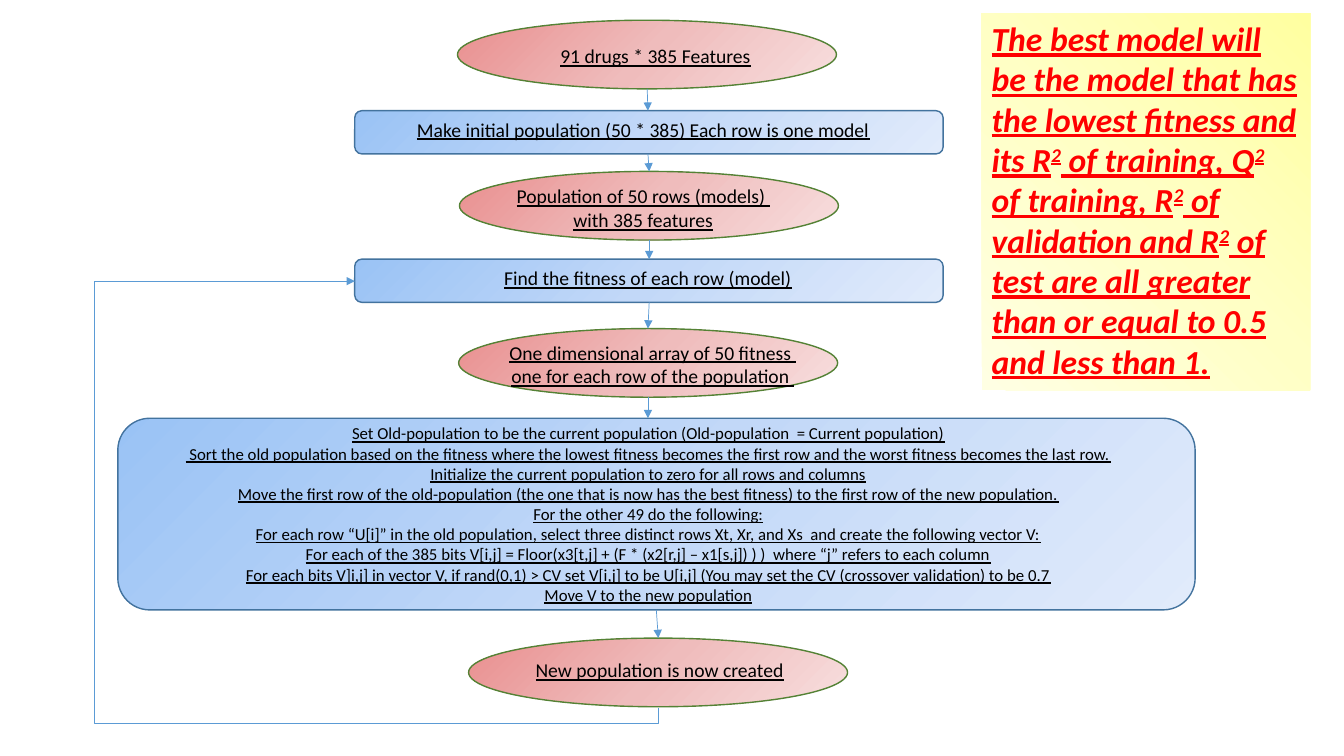
import pptx
import pptx.util
import pptx.dml.color
import pptx.enum.shapes
import pptx.enum.text
import pptx.oxml
import pptx.oxml.ns

Cm, Pt = pptx.util.Cm, pptx.util.Pt
RGB = pptx.dml.color.RGBColor.from_string
SHAPES = pptx.enum.shapes.MSO_SHAPE
ALIGN = pptx.enum.text.PP_ALIGN
qn = pptx.oxml.ns.qn

theme = {
    "font": "Calibri",
    "text": "000000", "alert": "FF0000", "arrow": "5B9BD5",
    "data": {"stops": ("E98F8F", "EFBCBC", "F7DEDE"), "line": "548235"},
    "process": {"stops": ("9AC3F5", "C2D8F8", "E1EBFB"), "line": "43739E"},
    "note": {"stops": ("FFFFA0", "FFFFC5", "FFFFE3"), "line": None},
    "note_size": 24, "step_size": 14, "detail_size": 12,
    "outline": 1, "arrow_width": 0.5,
}

deck = pptx.Presentation()
deck.slide_width, deck.slide_height = Cm(33.87), Cm(19.05)
slide = deck.slides.add_slide(deck.slide_layouts[6])


def write(frame, lines, size, color=theme["text"], align=ALIGN.CENTER,
          strong=False, wrap=False):
    """Underlined text; parts between ^ marks are superscript."""
    frame.word_wrap = wrap
    frame.auto_size = pptx.enum.text.MSO_AUTO_SIZE.SHAPE_TO_FIT_TEXT
    frame.vertical_anchor = pptx.enum.text.MSO_ANCHOR.TOP
    for number, line in enumerate(lines):
        paragraph = frame.add_paragraph() if number else frame.paragraphs[0]
        paragraph.alignment = align
        for part, words in enumerate(line.split("^")):
            run = paragraph.add_run()
            run.text = words
            run.font.name, run.font.size = theme["font"], Pt(size)
            run.font.color.rgb = RGB(color)
            run.font.underline = True
            run.font.bold = run.font.italic = strong
            if part % 2:
                run.font._element.set("baseline", "30000")


def add_panel(outline, look, box, focus):
    """Shape with a radial gradient that starts in the focus corner."""
    panel = slide.shapes.add_shape(outline, *map(Cm, box))
    panel.shadow.inherit = False
    panel.fill.gradient()
    gradient = panel._element.spPr.find(qn("a:gradFill"))
    for child in list(gradient):
        gradient.remove(child)
    stops = "".join(f'<a:gs pos="{i * 50000}"><a:srgbClr val="{c}"/></a:gs>'
                    for i, c in enumerate(look["stops"]))
    corner = " ".join(f'{side}="{value}000"' for side, value in zip("ltrb", focus))
    ns = pptx.oxml.ns.nsdecls("a")
    gradient.append(pptx.oxml.parse_xml(f"<a:gsLst {ns}>{stops}</a:gsLst>"))
    gradient.append(pptx.oxml.parse_xml(
        f'<a:path {ns} path="circle"><a:fillToRect {corner}/></a:path>'))
    if look["line"]:
        panel.line.color.rgb = RGB(look["line"])
        panel.line.width = Pt(theme["outline"])
    else:
        panel.line.fill.background()
    return panel


# Selection rule, top right
note = add_panel(SHAPES.RECTANGLE, theme["note"], (24.74, 0.33, 8.28, 9.5),
                 (100, 0, 0, 100))
write(note.text_frame,
      ["The best model will be the model that has the lowest fitness and its R^2^ of "
       "training, Q^2^ of training, R^2^ of validation and R^2^ of test are all "
       "greater than or equal to 0.5 and less than 1."],
      theme["note_size"], color=theme["alert"], align=ALIGN.LEFT, strong=True, wrap=True)

# Flow steps: kind, panel left, top, width, height, text left, top, width, lines
data_size, process_size = (9.55, 1.73), (14.83, 1.09)
steps = [
    ("data", (11.53, 0.51, *data_size), (13.87, 0.99, 5.36),
     ["91 drugs * 385 Features"]),
    ("process", (8.94, 2.79, *process_size), (10.19, 2.84, 12.04),
     ["Make initial population (50 * 385) Each row is one model"]),
    ("data", (11.58, 4.32, *data_size), (12.73, 4.52, 6.96),
     ["Population of 50 rows (models) ", "with 385 features"]),
    ("process", (8.94, 6.53, *process_size), (12.42, 6.58, 7.82),
     ["Find the fitness of each row (model)"]),
    ("data", (11.56, 8.28, *data_size), (12.55, 8.46, 7.8),
     ["One dimensional array of 50 fitness ", "one for each row of the population "]),
    ("process", (2.97, 10.54, 27.15, 4.83), (3.73, 10.54, 25.22), [
        "Set Old-population to be the current population (Old-population  = Current population)",
        " Sort the old population based on the fitness where the lowest fitness becomes "
        "the first row and the worst fitness becomes the last row.",
        "Initialize the current population to zero for all rows and columns",
        "Move the first row of the old-population (the one that is now has the best fitness) "
        "to the first row of the new population.",
        "For the other 49 do the following:",
        "For each row “U[i]” in the old population, select three distinct rows Xt, Xr, "
        "and Xs  and create the following vector V:",
        "For each of the 385 bits V[i,j] = Floor(x3[t,j] + (F * (x2[r,j] – x1[s,j]) ) )  "
        "where “j” refers to each column",
        "For each bits V]i,j] in vector V, if rand(0,1) > CV set V[i,j] to be U[i,j] "
        "(You may set the CV (crossover validation) to be 0.7",
        "Move V to the new population"]),
    ("data", (11.81, 16.08, *data_size), (13.21, 16.46, 6.83),
     ["New population is now created"]),
]
outlines = {"data": SHAPES.OVAL, "process": SHAPES.ROUNDED_RECTANGLE}
for kind, box, (left, top, width), lines in steps:
    add_panel(outlines[kind], theme[kind], box, (0, 0, 100, 100))
    detailed = len(lines) > 2
    height = 4.88 if detailed else 0.27 + 0.59 * len(lines)
    label = slide.shapes.add_textbox(Cm(left), Cm(top), Cm(width), Cm(height))
    write(label.text_frame, lines,
          theme["detail_size"] if detailed else theme["step_size"],
          align=ALIGN.LEFT if kind == "data" and top < 1 else ALIGN.CENTER, wrap=detailed)

# Arrows between neighbouring steps, then the loop back to the fitness step
arrow_x = [(16.31, 16.33), (16.33, 16.36), (16.36, 16.36),
           (16.36, 16.33), (16.33, 16.33), (16.54, 16.59)]
kinds = pptx.enum.shapes.MSO_CONNECTOR
routes = [(kinds.STRAIGHT, start, above[1][1] + above[1][3], end, below[1][1])
          for (start, end), above, below in zip(arrow_x, steps, steps[1:])]
routes.append((kinds.ELBOW, 18.14, 8.64, 7.39, 16.28))
for kind, *ends in routes:
    arrow = slide.shapes.add_connector(kind, *map(Cm, ends))
    arrow.line.color.rgb = RGB(theme["arrow"])
    arrow.line.width = Pt(theme["arrow_width"])
    arrow.line._get_or_add_ln().append(pptx.oxml.parse_xml(
        f'<a:tailEnd {pptx.oxml.ns.nsdecls("a")} type="triangle"/>'))
    properties = arrow._element.spPr
    properties.append(pptx.oxml.parse_xml(f'<a:effectLst {pptx.oxml.ns.nsdecls("a")}/>'))
    if kind == kinds.ELBOW:
        # Quarter turn, with the bends below the last step and left of the flow
        properties.find(qn("a:xfrm")).set("rot", "5400000")
        properties.find(qn("a:prstGeom")).getparent().replace(
            properties.find(qn("a:prstGeom")), pptx.oxml.parse_xml(
                f'<a:prstGeom {pptx.oxml.ns.nsdecls("a")} prst="bentConnector4"><a:avLst>'
                '<a:gd name="adj1" fmla="val -3600"/><a:gd name="adj2" fmla="val 186000"/>'
                '</a:avLst></a:prstGeom>'))

deck.save("out.pptx")
